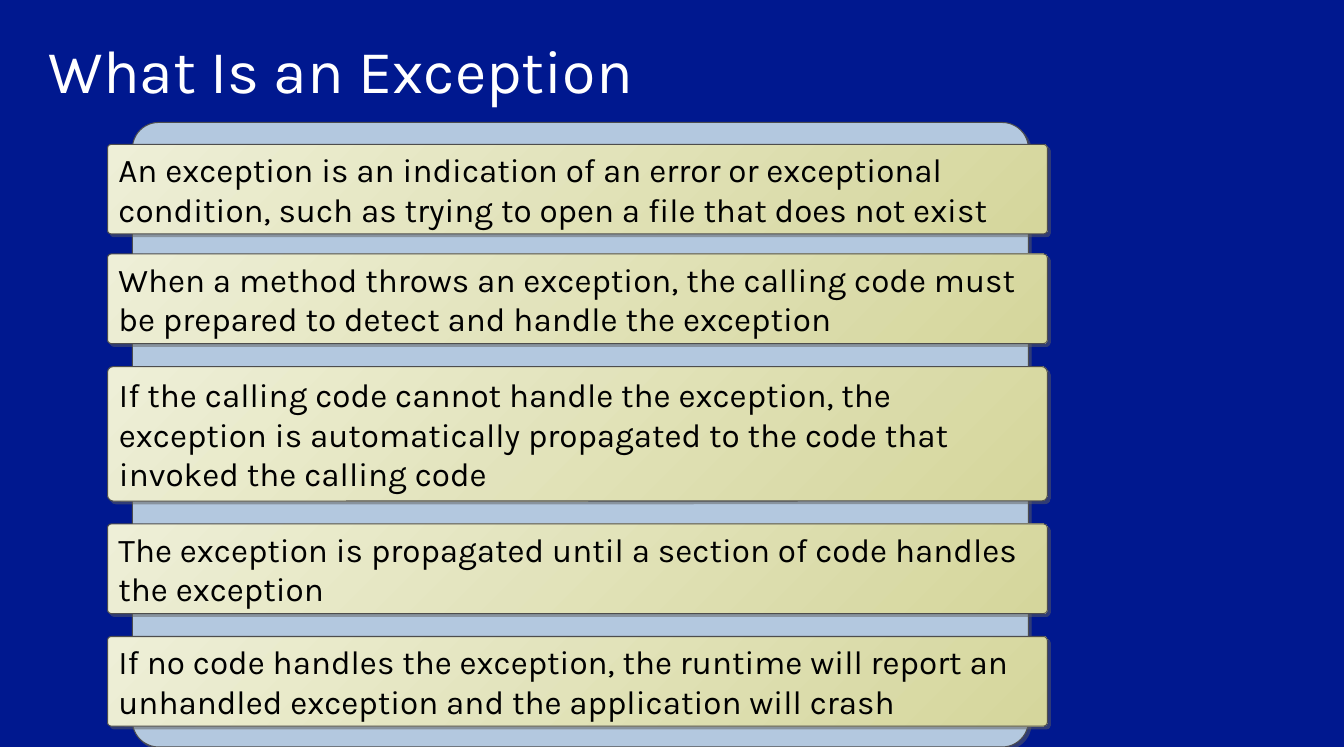
from dataclasses import dataclass

from lxml import etree
from pptx import Presentation
from pptx import util as u
from pptx.dml.color import RGBColor
from pptx.enum import shapes, text
from pptx.oxml.ns import qn


@dataclass(frozen=True)
class Theme:
    font: str = "Karla"
    title_size: float = 44
    card_size: float = 24
    background: str = "00188F"
    title: str = "FFFFFF"
    body: str = "000000"
    panel: str = "B3C8DF"
    card_start: str = "EEEFD7"
    card_end: str = "D5D69C"
    outline: str = "4D4D4D"
    shadow: str = "5F5F5F"


THEME = Theme()
WIDTH, HEIGHT = u.Inches(13.5), u.Inches(7.5)
CORNER = 0.042
CARD_LEFT, CARD_WIDTH = 8, 69.93
FIRST_CARD_TOP = 19.33
ROWS_PER_LINE = 6

CARDS = [
    (2, 2.67, "An exception is an indication of an error or exceptional condition, "
              "such as trying to open a file that does not exist"),
    (2, 3.07, "When a method throws an exception, the calling code must be prepared "
              "to detect and handle the exception"),
    (3, 3.07, "If the calling code cannot handle the exception, the exception is "
              "automatically propagated to the code that invoked the calling code"),
    (2, 3.07, "The exception is propagated until a section of code handles the exception"),
    (2, 0, "If no code handles the exception, the runtime will report an unhandled "
           "exception and the application will crash"),
]


def rgb(value):
    return RGBColor.from_string(value)


def box(left, top, width, height):
    return [u.Emu(round(share * side / 100))
            for share, side in ((left, WIDTH), (top, HEIGHT), (width, WIDTH), (height, HEIGHT))]


def write(shape, content, size, color, inset_x, inset_y, line_spacing=1.0):
    frame = shape.text_frame
    frame.word_wrap = True
    frame.vertical_anchor = text.MSO_ANCHOR.MIDDLE
    frame.margin_left = frame.margin_right = u.Inches(inset_x)
    frame.margin_top = frame.margin_bottom = u.Inches(inset_y)
    paragraph = frame.paragraphs[0]
    paragraph.alignment = text.PP_ALIGN.LEFT
    paragraph.line_spacing = line_spacing
    run = paragraph.add_run()
    run.text = content
    run.font.name = THEME.font
    run.font.size = u.Pt(size)
    run.font.color.rgb = rgb(color)


def cast_shadow(shape):
    shape.shadow.inherit = False
    effects = shape._element.spPr.find(qn("a:effectLst"))
    shadow = etree.SubElement(effects, qn("a:outerShdw"), blurRad="0", dist=str(u.Pt(2.8)),
                              dir="2700000", algn="ctr", rotWithShape="0")
    color = etree.SubElement(shadow, qn("a:srgbClr"), val=THEME.shadow)
    etree.SubElement(color, qn("a:alpha"), val="50000")


def add_rounded(slide, *area):
    shape = slide.shapes.add_shape(shapes.MSO_SHAPE.ROUNDED_RECTANGLE, *box(*area))
    shape.adjustments[0] = CORNER
    shape.line.color.rgb = rgb(THEME.outline)
    shape.line.width = u.Pt(0.75)
    cast_shadow(shape)
    return shape


def add_title(slide, content):
    title = slide.shapes.add_textbox(*box(2.44, 3.33, 95.56, 13.07))
    write(title, content, THEME.title_size, THEME.title, 0.16, 0.13, 0.9)


def add_panel(slide):
    panel = add_rounded(slide, 9.85, 16.4, 66.67, 83.6)
    panel.fill.solid()
    panel.fill.fore_color.rgb = rgb(THEME.panel)


def add_card(slide, top, height, content):
    card = add_rounded(slide, CARD_LEFT, top, CARD_WIDTH, height)
    card.fill.gradient()
    card.fill.gradient_angle = 315
    for stop, position, color in zip(card.fill.gradient_stops, (0, 1),
                                     (THEME.card_start, THEME.card_end)):
        stop.position = position
        stop.color.rgb = rgb(color)
    write(card, content, THEME.card_size, THEME.body, 0.1, 0.1)


def main():
    presentation = Presentation()
    presentation.slide_width, presentation.slide_height = WIDTH, HEIGHT
    slide = presentation.slides.add_slide(presentation.slide_layouts[6])
    slide.background.fill.solid()
    slide.background.fill.fore_color.rgb = rgb(THEME.background)

    add_title(slide, "What Is an Exception")
    add_panel(slide)
    top = FIRST_CARD_TOP
    for lines, gap, content in CARDS:
        height = lines * ROWS_PER_LINE
        add_card(slide, top, height, content)
        top += height + gap

    presentation.save("out.pptx")


if __name__ == "__main__":
    main()
